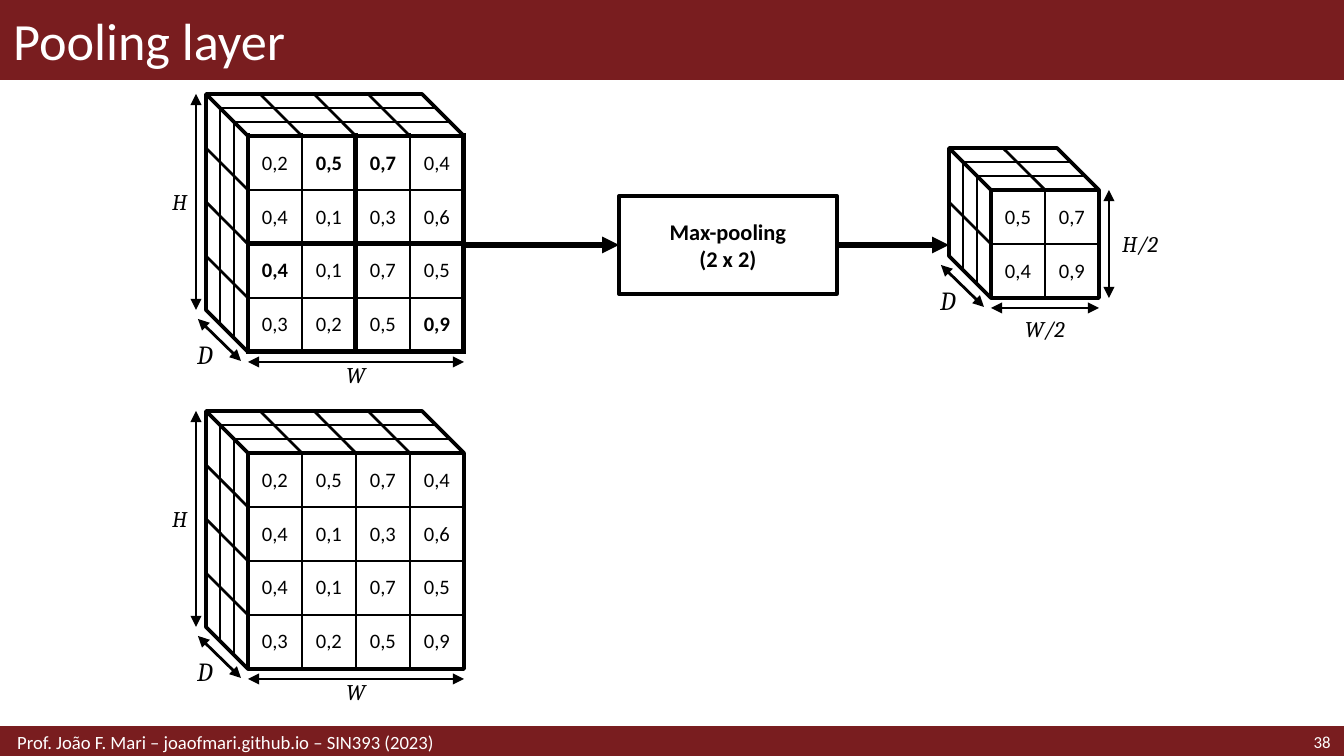
import dataclasses

import lxml.etree
import pptx
import pptx.dml.color
import pptx.enum.shapes
import pptx.enum.text
import pptx.oxml.ns
import pptx.util

SCALE = 914400 / 134.4
SLIDE_WIDTH, SLIDE_HEIGHT = 1344, 756
CELL, DEPTH, SLICES = 54, 42, 3
ALIGN = pptx.enum.text.PP_ALIGN
ANCHOR = pptx.enum.text.MSO_ANCHOR
SHAPE = pptx.enum.shapes.MSO_SHAPE
INPUT_VALUES = [
    ["0,2", "0,5", "0,7", "0,4"],
    ["0,4", "0,1", "0,3", "0,6"],
    ["0,4", "0,1", "0,7", "0,5"],
    ["0,3", "0,2", "0,5", "0,9"],
]
POOLED_VALUES = [["0,5", "0,7"], ["0,4", "0,9"]]


@dataclasses.dataclass(frozen=True)
class Theme:
    """Colours, fonts, type sizes and line widths of the slide."""
    band: str = "791D1F"
    ink: str = "000000"
    paper: str = "FFFFFF"
    body_font: str = "Calibri"
    math_font: str = "Cambria"
    title: int = 28
    depth_label: int = 14
    label: int = 12
    value: int = 11
    footer: int = 10
    page: int = 9
    thin: float = 1
    medium: float = 1.5
    outline: float = 2
    thick: float = 3


THEME = Theme()


def px(length):
    """Turn px into EMU."""
    return pptx.util.Emu(round(length * SCALE))


def rgb(value):
    """Turn a hexadecimal string into a colour."""
    return pptx.dml.color.RGBColor.from_string(value)


def write_text(frame, text, size, color=THEME.ink, font=THEME.body_font, bold=False,
               italic=False, align=ALIGN.LEFT):
    """Fill a text frame with one paragraph for each line of text."""
    frame.text = text
    for paragraph in frame.paragraphs:
        paragraph.alignment = align
        paragraph.font.size = pptx.util.Pt(size)
        paragraph.font.name = font
        paragraph.font.bold = bold
        paragraph.font.italic = italic
        paragraph.font.color.rgb = rgb(color)


def add_label(slide, box, text, size, anchor=ANCHOR.TOP, **text_format):
    """Add a text box at the given box."""
    shape = slide.shapes.add_textbox(*map(px, box))
    shape.text_frame.word_wrap = True
    shape.text_frame.vertical_anchor = anchor
    write_text(shape.text_frame, text, size, **text_format)


def add_box(slide, kind, box, line_color, line_width, fill=None):
    """Add an outlined preset shape, filled or hollow."""
    shape = slide.shapes.add_shape(kind, *map(px, box))
    shape.shadow.inherit = False
    if fill:
        shape.fill.solid()
        shape.fill.fore_color.rgb = rgb(fill)
    else:
        shape.fill.background()
    shape.line.color.rgb = rgb(line_color)
    shape.line.width = pptx.util.Pt(line_width)
    return shape


def add_line(slide, start, end, width, arrows=()):
    """Add a straight line with arrowheads at the named ends."""
    connector = slide.shapes.add_connector(
        pptx.enum.shapes.MSO_CONNECTOR.STRAIGHT, *map(px, start + end))
    connector.line.color.rgb = rgb(THEME.ink)
    connector.line.width = pptx.util.Pt(width)
    for arrow in arrows:
        head = lxml.etree.SubElement(connector.line._ln, pptx.oxml.ns.qn(f"a:{arrow}"))
        head.set("type", "triangle")
    lxml.etree.SubElement(connector._element.spPr, pptx.oxml.ns.qn("a:effectLst"))
    return connector


def set_borders(cell, widths):
    """Draw the left, right, top and bottom borders of a cell."""
    properties = cell._tc.get_or_add_tcPr()
    for index, (side, width) in enumerate(zip("LRTB", widths)):
        border = lxml.etree.Element(pptx.oxml.ns.qn(f"a:ln{side}"), w=str(pptx.util.Pt(width)))
        fill = lxml.etree.SubElement(border, pptx.oxml.ns.qn("a:solidFill"))
        lxml.etree.SubElement(fill, pptx.oxml.ns.qn("a:srgbClr"), val=THEME.ink)
        properties.insert(index, border)


def draw_values(slide, left, top, values, pool):
    """Draw a value table, marking pooling windows and their maxima."""
    count = len(values)
    size = px(count * CELL)
    table = slide.shapes.add_table(count, count, px(left), px(top), size, size).table
    table.first_row = table.horz_banding = False
    for index in range(count):
        table.rows[index].height = table.columns[index].width = px(CELL)

    def edge_width(index):
        """Return the width of a grid line."""
        return THEME.thick if pool and index % pool == 0 else THEME.thin

    for row, row_values in enumerate(values):
        for column, value in enumerate(row_values):
            cell = table.cell(row, column)
            cell.fill.background()
            cell.vertical_anchor = ANCHOR.MIDDLE
            cell.margin_left = cell.margin_right = px(7)
            cell.margin_top = cell.margin_bottom = px(7)
            is_maximum = False
            if pool:
                first_row, first_column = row // pool * pool, column // pool * pool
                window = [item for line in values[first_row:first_row + pool]
                          for item in line[first_column:first_column + pool]]
                is_maximum = value == max(window)
            write_text(cell.text_frame, value, THEME.value, bold=is_maximum, align=ALIGN.CENTER)
            set_borders(cell, [edge_width(edge) for edge in (column, column + 1, row, row + 1)])


def draw_volume(slide, left, top, values, pool=0, suffix="", height_on_right=False, label_gap=3):
    """Draw a cube of values with its slices and dimension arrows."""
    count = len(values)
    size = count * CELL
    front_left, front_top = left + DEPTH, top + DEPTH
    right, bottom = front_left + size, front_top + size
    draw_values(slide, front_left, front_top, values, pool)
    side = size + DEPTH
    cube = add_box(slide, SHAPE.CUBE, (left, top, side, side), THEME.ink, THEME.outline)
    cube.adjustments[0] = DEPTH / side
    cube.rotation = 270

    for offset in range(0, DEPTH + 1, DEPTH // SLICES):
        corner = (left + offset, top + offset)
        add_line(slide, corner, (corner[0], corner[1] + size), THEME.thin)
        add_line(slide, corner, (corner[0] + size, corner[1]), THEME.thin)
    starts = [(left, top + index * CELL) for index in range(count + 1)]
    starts += [(left + index * CELL, top) for index in range(1, count + 1)]
    for x, y in starts:
        add_line(slide, (x, y), (x + DEPTH, y + DEPTH), THEME.medium)

    height_x, height_y = (right + 10, front_top) if height_on_right else (left - 10, top)
    dimensions = [
        ((height_x, height_y + size), (height_x, height_y)),
        ((front_left, bottom + 10), (right, bottom + 10)),
        ((left - 8, top + size + 9), (left + 35, top + size + 51)),
    ]
    for start, end in dimensions:
        add_line(slide, start, end, THEME.medium, ("headEnd", "tailEnd"))

    math = {"font": THEME.math_font, "italic": True}
    label_x = height_x if height_on_right else height_x - 37
    label_width = 77 if suffix else 42
    add_label(slide, (label_x, height_y + size // 2 - 20, label_width, 40), "H" + suffix,
              THEME.label, **math)
    add_label(slide, (front_left + size // 2 - 40, bottom + label_gap, 80, 40), "W" + suffix,
              THEME.label, align=ALIGN.CENTER, **math)
    add_label(slide, (left - 22, top + size + 22, 42, 46), "D", THEME.depth_label, **math)


def draw_pooling(slide, left, top, width, height, source_x, target_x):
    """Draw the pooling step with its incoming and outgoing arrows."""
    step = add_box(slide, SHAPE.RECTANGLE, (left, top, width, height), THEME.ink, THEME.outline)
    step.text_frame.vertical_anchor = ANCHOR.MIDDLE
    write_text(step.text_frame, "Max-pooling\n(2 x 2)", THEME.label, bold=True,
               align=ALIGN.CENTER)
    middle = top + height // 2
    outgoing = add_line(slide, (left + width, middle), (target_x, middle), THEME.thick,
                        ("tailEnd",))
    outgoing.begin_connect(step, 3)
    incoming = add_line(slide, (source_x, middle), (left, middle), THEME.thick, ("tailEnd",))
    incoming.end_connect(step, 1)


def draw_header(slide, left, top, width, height):
    """Draw the title band."""
    box = (left, top, width, height)
    add_box(slide, SHAPE.RECTANGLE, box, THEME.band, THEME.thin, THEME.band)
    add_label(slide, box, "Pooling layer", THEME.title, ANCHOR.MIDDLE, color=THEME.paper)


def draw_footer(slide, left, top, width, height):
    """Draw the footer band with author and page number."""
    add_box(slide, SHAPE.RECTANGLE, (left, top, width, height), THEME.band, THEME.outline,
            THEME.band)
    add_label(slide, (left + 4, top, 922, height),
              "Prof. João F. Mari – joaofmari.github.io – SIN393 (2023)",
              THEME.footer, ANCHOR.MIDDLE, color=THEME.paper)
    add_label(slide, (left + width - 153, top, 153, height), "38", THEME.page, ANCHOR.MIDDLE,
              color=THEME.paper, align=ALIGN.RIGHT)


def main():
    """Build and save the slide."""
    presentation = pptx.Presentation()
    presentation.slide_width, presentation.slide_height = px(SLIDE_WIDTH), px(SLIDE_HEIGHT)
    slide = presentation.slides.add_slide(presentation.slide_layouts[6])
    draw_header(slide, 0, 0, SLIDE_WIDTH, 79)
    draw_footer(slide, 0, 728, SLIDE_WIDTH, 28)
    draw_volume(slide, 206, 94, INPUT_VALUES, pool=2)
    draw_volume(slide, 206, 411, INPUT_VALUES)
    draw_volume(slide, 949, 148, POOLED_VALUES, suffix="/2", height_on_right=True, label_gap=11)
    draw_pooling(slide, 619, 196, 218, 98, 464, 949)
    presentation.save("out.pptx")


if __name__ == "__main__":
    main()
